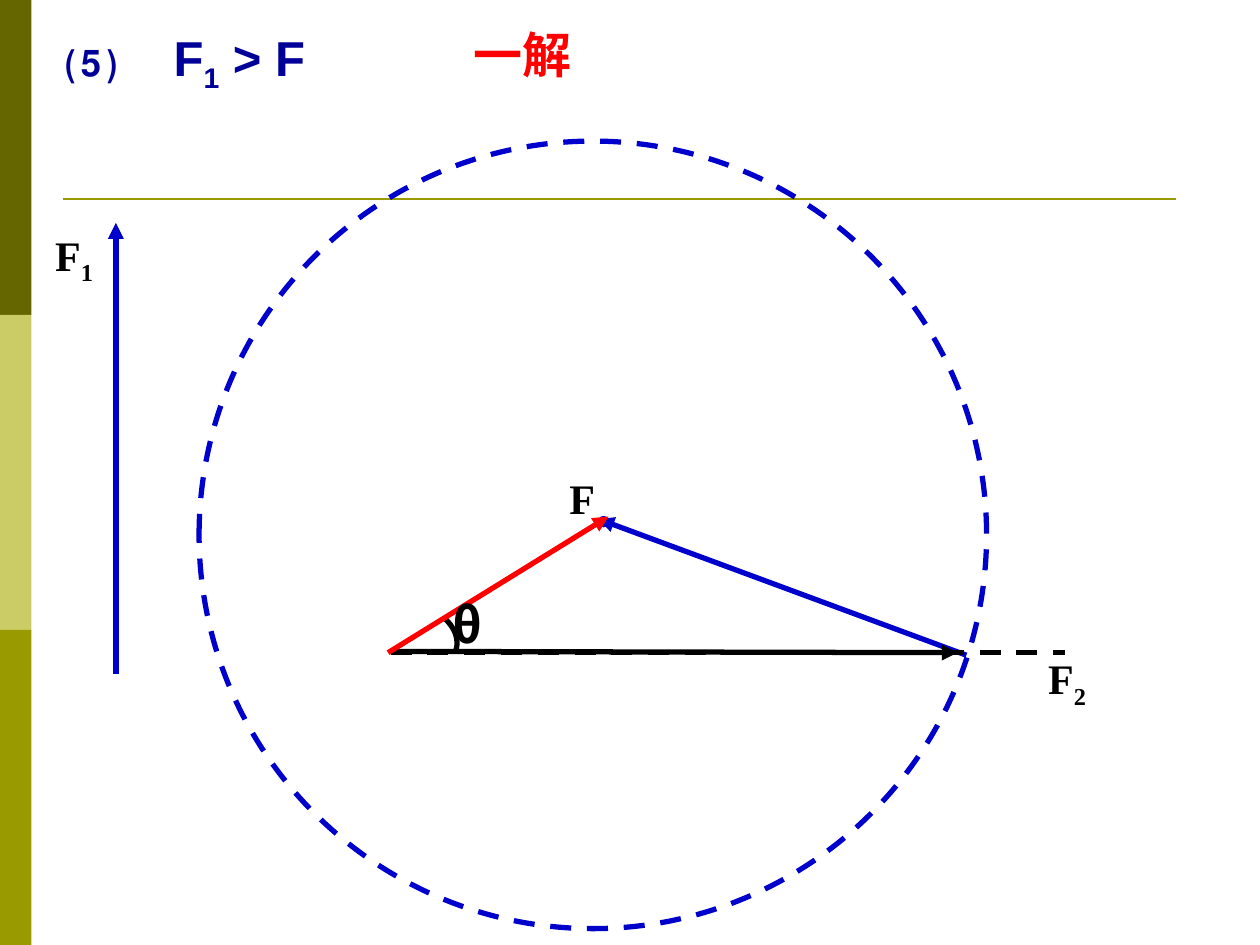
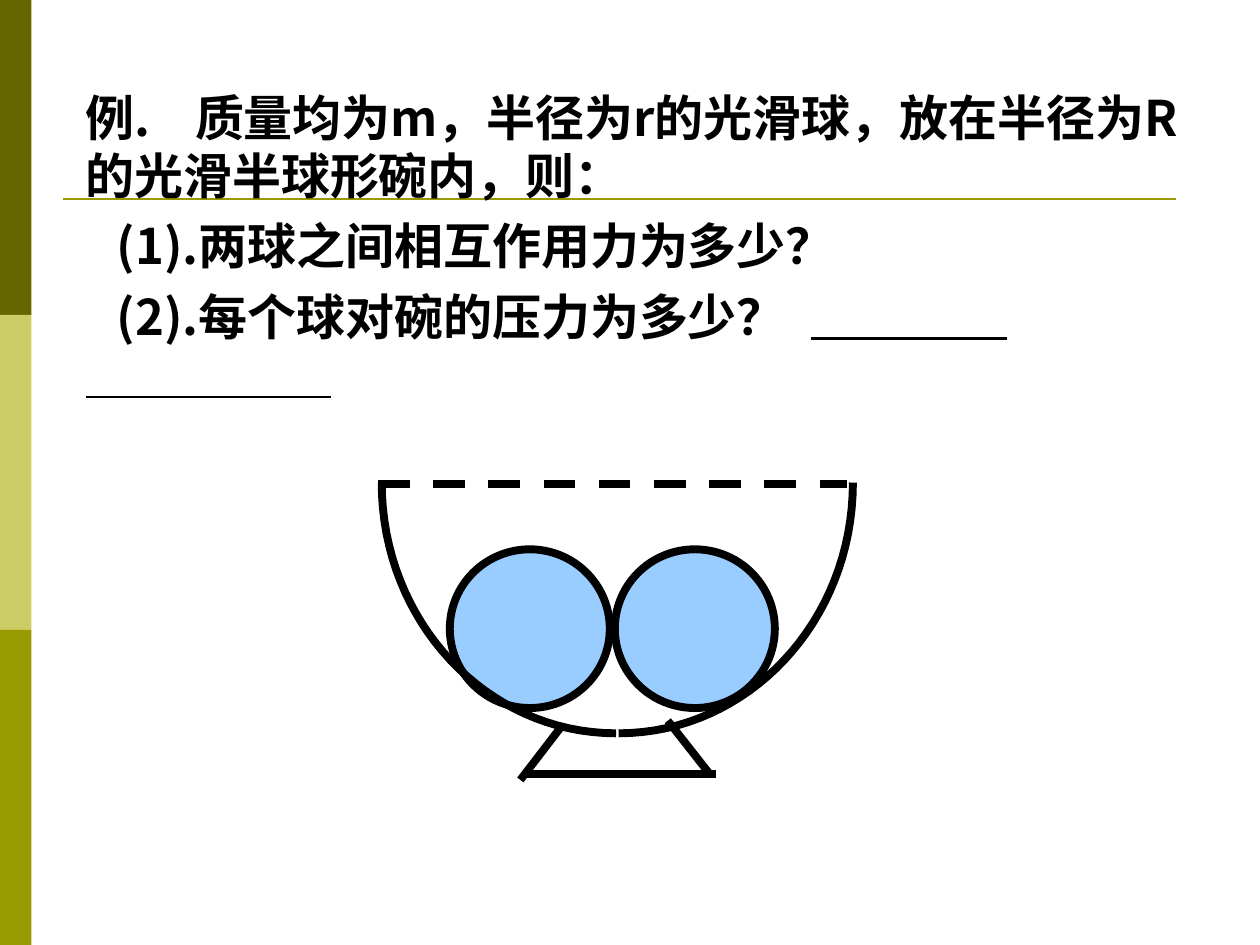
from dataclasses import dataclass

from lxml import etree
from pptx import Presentation
from pptx.dml.color import RGBColor
from pptx.enum.dml import MSO_LINE
from pptx.enum.shapes import MSO_CONNECTOR, MSO_SHAPE
from pptx.enum.text import MSO_ANCHOR
from pptx.oxml.ns import qn
from pptx.slide import Slide
from pptx.util import Inches, Pt

STRAIGHT = MSO_CONNECTOR.STRAIGHT
RECTANGLE, OVAL = MSO_SHAPE.RECTANGLE, MSO_SHAPE.OVAL
DASH = MSO_LINE.DASH
TOP, MIDDLE = MSO_ANCHOR.TOP, MSO_ANCHOR.MIDDLE
Point = tuple[float, float]


@dataclass(frozen=True)
class Theme:
    bands: tuple[str, ...] = ("666600", "CCCC66", "999900")
    rule: str = "999900"
    title: str = "000099"
    blue: str = "0000CC"
    red: str = "FF0000"
    black: str = "000000"
    ball: str = "99CCFF"
    sans: str = "Arial"
    serif: str = "Times New Roman"
    chinese: str = "Noto Sans CJK SC"
    large: int = 28
    label: int = 24
    vector_width: float = 3
    bowl_width: float = 4.5


THEME = Theme()


@dataclass(frozen=True)
class Segment:
    start: Point
    end: Point
    color: str = THEME.black
    width: float = THEME.vector_width
    dashed: bool = False
    arrow: bool = False


@dataclass(frozen=True)
class Circle:
    left: float
    top: float
    width: float
    height: float
    line: str
    line_width: float
    fill: str | None = None
    dashed: bool = False


@dataclass(frozen=True)
class Curve:
    """A cubic curve: start, two control points and end."""
    points: tuple[Point, Point, Point, Point]
    width: float


@dataclass(frozen=True)
class Label:
    text: str
    left: float
    top: float
    width: float
    height: float
    font: str = THEME.serif
    size: int = THEME.label
    color: str = THEME.black
    subscript: str = ""
    ending: str = ""
    tab: float | None = None
    anchor: MSO_ANCHOR = TOP
    wrap: bool = True


def rgb(color: str) -> RGBColor:
    return RGBColor.from_string(color)


def style_line(line, color: str, width: float, dashed: bool = False) -> None:
    line.color.rgb = rgb(color)
    line.width = Pt(width)
    if dashed:
        line.dash_style = DASH


def style_paragraph(para, font: str, size: int, color: str) -> None:
    para.font.name = font
    para.font.size = Pt(size)
    para.font.bold = True
    para.font.color.rgb = rgb(color)
    defaults = para._p.pPr.find(qn("a:defRPr"))
    etree.SubElement(defaults, qn("a:ea"), typeface=THEME.chinese)


def add_tab(para, position: float) -> None:
    tabs = etree.SubElement(para._p.get_or_add_pPr(), qn("a:tabLst"))
    etree.SubElement(tabs, qn("a:tab"), pos=str(Inches(position)), algn="l")


def draw_segment(page: Slide, segment: Segment) -> None:
    ends = [Inches(value) for value in (*segment.start, *segment.end)]
    connector = page.shapes.add_connector(STRAIGHT, *ends)
    style_line(connector.line, segment.color, segment.width, segment.dashed)
    if segment.arrow:
        etree.SubElement(connector.line._get_or_add_ln(), qn("a:tailEnd"), type="triangle")
    etree.SubElement(connector._element.spPr, qn("a:effectLst"))


def draw_circle(page: Slide, circle: Circle) -> None:
    bounds = (circle.left, circle.top, circle.width, circle.height)
    shape = page.shapes.add_shape(OVAL, *map(Inches, bounds))
    shape.shadow.inherit = False
    if circle.fill:
        shape.fill.solid()
        shape.fill.fore_color.rgb = rgb(circle.fill)
    else:
        shape.fill.background()
    style_line(shape.line, circle.line, circle.line_width, circle.dashed)


def draw_curve(page: Slide, curve: Curve, steps: int = 32) -> None:
    def at(t: float) -> Point:
        weights = ((1 - t) ** 3, 3 * t * (1 - t) ** 2, 3 * t * t * (1 - t), t ** 3)
        x, y = (sum(w * point[axis] for w, point in zip(weights, curve.points)) for axis in (0, 1))
        return Inches(x), Inches(y)

    first, *others = [at(step / steps) for step in range(steps + 1)]
    builder = page.shapes.build_freeform(*first)
    builder.add_line_segments(others, close=False)
    shape = builder.convert_to_shape()
    shape.shadow.inherit = False
    shape.fill.background()
    style_line(shape.line, THEME.black, curve.width)


def draw_label(page: Slide, label: Label) -> None:
    bounds = (label.left, label.top, label.width, label.height)
    box = page.shapes.add_textbox(*map(Inches, bounds))
    frame = box.text_frame
    frame.word_wrap = label.wrap
    frame.vertical_anchor = label.anchor
    para = frame.paragraphs[0]
    if label.tab is not None:
        add_tab(para, label.tab)
    style_paragraph(para, label.font, label.size, label.color)
    for text in filter(None, (label.text, label.subscript, label.ending)):
        span = para.add_run()
        span.text = text
        if text == label.subscript:
            span._r.get_or_add_rPr().set("baseline", "-25000")


def add_page(deck) -> Slide:
    """Add a slide with the side bands and the rule under the title."""
    page = deck.slides.add_slide(deck.slide_layouts[6])
    for index, color in enumerate(THEME.bands):
        band = page.shapes.add_shape(RECTANGLE, 0, Inches(2.5 * index), Inches(0.25), Inches(2.5))
        band.shadow.inherit = False
        band.fill.solid()
        band.fill.fore_color.rgb = rgb(color)
        band.line.fill.background()
    draw_segment(page, Segment((0.5, 1.58), (9.33, 1.58), THEME.rule, 1.5))
    return page


def build_force_triangle(deck) -> None:
    page = add_page(deck)
    draw_label(page, Label("⑸\tF", 0.43, 0.17, 2.6, 0.63, THEME.sans, THEME.large, THEME.title,
                           subscript="1", ending=" > F", tab=0.85, anchor=MIDDLE))
    draw_segment(page, Segment((7.67, 5.2), (4.75, 4.12), THEME.blue, arrow=True))
    draw_segment(page, Segment((3.1, 5.17), (7.6, 5.18), arrow=True))
    draw_circle(page, Circle(1.58, 1.12, 6.25, 6.25, THEME.blue, THEME.vector_width, dashed=True))
    draw_circle(page, Circle(4.75, 4.1, 0.08, 0.08, THEME.blue, 0.75, fill=THEME.blue))
    draw_curve(page, Curve(((3.61, 5.18), (3.65, 5.1), (3.62, 4.99), (3.53, 4.91)),
                           THEME.vector_width))
    draw_segment(page, Segment((3.1, 5.18), (8.45, 5.18), dashed=True))
    draw_segment(page, Segment((3.08, 5.18), (4.83, 4.1), THEME.red, arrow=True))
    draw_segment(page, Segment((0.92, 5.35), (0.92, 1.77), THEME.blue, arrow=True))
    for label in (
        Label("F", 8.22, 5.13, 0.61, 0.56, subscript="2"),
        Label("θ", 3.49, 4.67, 0.51, 0.57, THEME.chinese, THEME.large),
        Label("F", 4.42, 3.7, 0.53, 0.5),
        Label("F", 0.34, 1.77, 0.5, 0.56, subscript="1", wrap=False),
        Label("一解", 3.66, 0.14, 1.5, 0.57, THEME.sans, THEME.large, THEME.red, anchor=MIDDLE),
    ):
        draw_label(page, label)


def draw_question(page: Slide) -> None:
    box = page.shapes.add_textbox(Inches(0.58), Inches(0.6), Inches(9), Inches(4.95))
    frame = box.text_frame
    frame.word_wrap = True
    frame.margin_top = Inches(0.1)
    lines = (
        "例.\t质量均为m，半径为r的光滑球，放在半径为R的光滑半球形碗内，则：",
        "(1).两球之间相互作用力为多少？",
        "(2).每个球对碗的压力为多少？",
    )
    for index, text in enumerate(lines):
        para = frame.add_paragraph() if index else frame.paragraphs[0]
        para.line_spacing = Pt(33.2)
        if index:
            para.space_before = Pt(7)
            para._p.get_or_add_pPr().set("marL", str(Inches(0.25)))
        else:
            add_tab(para, 0.87)
        style_paragraph(para, THEME.chinese, THEME.large, THEME.black)
        para.add_run().text = text
    draw_segment(page, Segment((6.44, 2.69), (7.99, 2.69), width=1.75))
    draw_segment(page, Segment((0.68, 3.15), (2.63, 3.15), width=1.25))


def build_bowl_problem(deck) -> None:
    page = add_page(deck)
    draw_question(page)
    stroke = THEME.bowl_width
    for left in (3.57, 4.88):
        draw_circle(page, Circle(left, 4.36, 1.27, 1.26, THEME.black, stroke, fill=THEME.ball))
    rim, bottom = 3.83, 5.82
    for center, side in ((4.89, -1), (4.91, 1)):
        edge = center + side * 1.86
        draw_curve(page, Curve(((center, bottom), (center + side * 1.03, bottom),
                                (edge, 4.93), (edge, rim)), stroke))
    draw_segment(page, Segment((3, 3.84), (6.72, 3.84), width=stroke, dashed=True))
    for start, end in (
        ((4.46, 5.76), (4.13, 6.19)),
        ((5.3, 5.72), (5.63, 6.14)),
        ((4.17, 6.14), (5.68, 6.14)),
    ):
        draw_segment(page, Segment(start, end, width=stroke))


def main() -> None:
    deck = Presentation()
    deck.slide_width, deck.slide_height = Inches(10), Inches(7.5)
    build_force_triangle(deck)
    build_bowl_problem(deck)
    deck.save("out.pptx")


if __name__ == "__main__":
    main()
